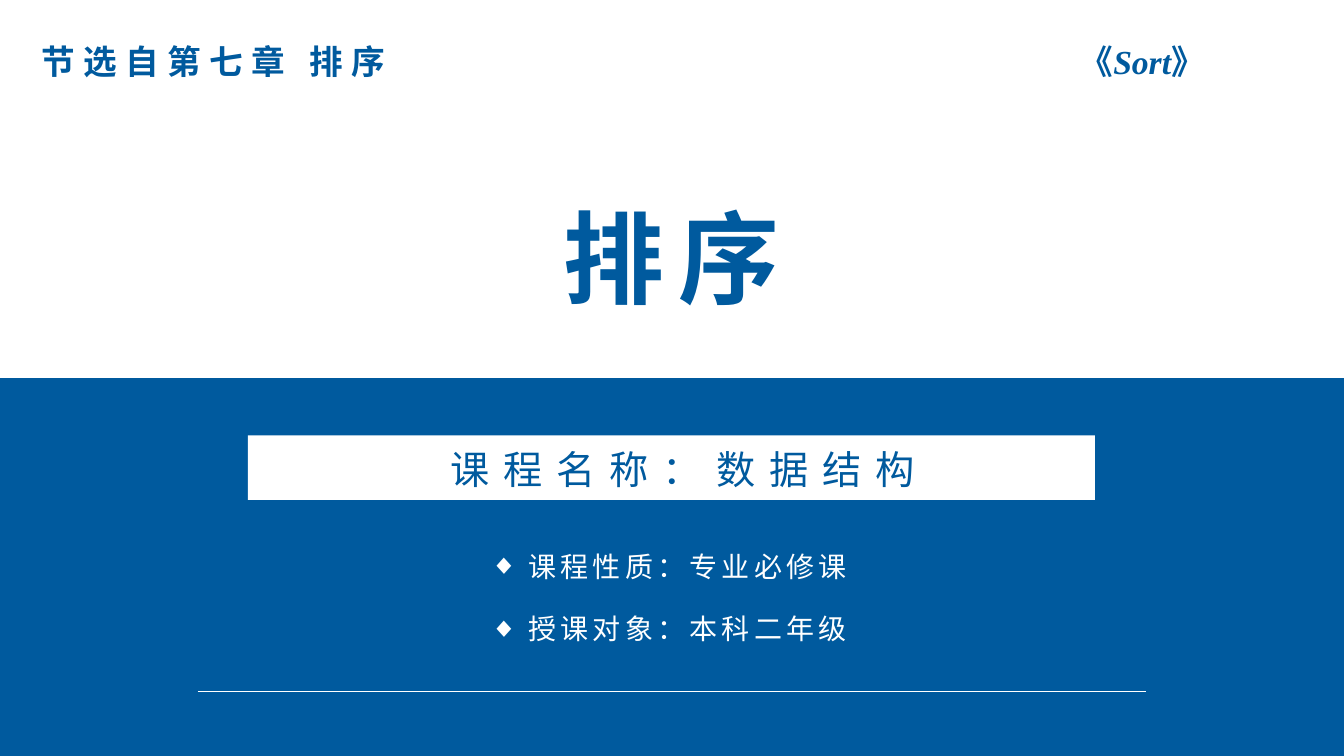
from dataclasses import dataclass
from typing import Optional

from pptx import Presentation
from pptx.dml.color import RGBColor
from pptx.enum.shapes import MSO_CONNECTOR, MSO_SHAPE
from pptx.enum.text import MSO_ANCHOR, MSO_AUTO_SIZE, PP_ALIGN
from pptx.oxml.ns import qn
from pptx.shapes.base import BaseShape
from pptx.slide import Slide
from pptx.text.text import TextFrame, _Paragraph as Paragraph, _Run as Run
from pptx.util import Emu, Pt
from lxml.etree import SubElement

EMU_PER_PX = 9144  # 100 px to the inch
BLUE = RGBColor(0x00, 0x5A, 0x9E)
WHITE = RGBColor(0xFF, 0xFF, 0xFF)
CHINESE_FONT = "Noto Sans CJK SC"
LATIN_FONT = "Times New Roman"


@dataclass(frozen=True)
class Box:
    left: int
    top: int
    width: int
    height: int


@dataclass(frozen=True)
class TextStyle:
    size: int
    color: RGBColor = BLUE
    font: str = CHINESE_FONT
    bold: bool = False
    spacing: int = 0
    align: Optional[PP_ALIGN] = PP_ALIGN.LEFT


@dataclass(frozen=True)
class Label:
    box: Box
    runs: tuple[str, ...]
    style: TextStyle
    italic_run: Optional[int] = None


TITLE_STYLE = TextStyle(72, bold=True, spacing=10, align=PP_ALIGN.JUSTIFY)
LIST_STYLE = TextStyle(20, color=WHITE, spacing=3)
COURSE_FACTS = ("课程性质：专业必修课", "授课对象：本科二年级")
PANELS = ((Box(0, 375, 1333, 375), BLUE), (Box(246, 432, 840, 64), WHITE))
LABELS = (
    Label(Box(328, 437, 698, 57), ("课程名称：数据结构",),
          TextStyle(28, spacing=10, align=PP_ALIGN.CENTER)),
    Label(Box(31, 36, 676, 50), ("节选自第七章 排序",),
          TextStyle(24, font=LATIN_FONT, bold=True, spacing=6)),
    Label(Box(1061, 36, 173, 50), ("《", "Sort", "》"),
          TextStyle(24, font=LATIN_FONT, bold=True, align=PP_ALIGN.JUSTIFY), italic_run=1),
)


def px(length: int) -> Emu:
    return Emu(length * EMU_PER_PX)


def place(shape: BaseShape, box: Box) -> None:
    shape.left, shape.top = px(box.left), px(box.top)
    shape.width, shape.height = px(box.width), px(box.height)


def prepare_frame(text_frame: TextFrame) -> None:
    text_frame.word_wrap = True
    text_frame.auto_size = MSO_AUTO_SIZE.NONE
    text_frame.vertical_anchor = MSO_ANCHOR.TOP


def format_run(run: Run, style: TextStyle) -> None:
    run.font.size = Pt(style.size)
    run.font.bold = style.bold
    run.font.color.rgb = style.color
    run.font.name = style.font
    properties = run._r.get_or_add_rPr()
    SubElement(properties, qn("a:ea")).set("typeface", CHINESE_FONT)
    if style.spacing:
        properties.set("spc", str(style.spacing * 100))


def format_paragraph(paragraph: Paragraph, style: TextStyle) -> None:
    paragraph.alignment = style.align
    for run in paragraph.runs:
        format_run(run, style)


def add_diamond_bullet(paragraph: Paragraph) -> None:
    properties = paragraph._p.get_or_add_pPr()
    properties.set("marL", str(px(38)))
    properties.set("indent", str(px(-38)))
    SubElement(properties, qn("a:buChar")).set("char", "◆")


def add_panel(slide: Slide, box: Box, color: RGBColor, depth: int) -> None:
    shape = slide.shapes.add_shape(MSO_SHAPE.RECTANGLE, 0, 0, 0, 0)
    place(shape, box)
    shape.shadow.inherit = False
    shape.fill.solid()
    shape.fill.fore_color.rgb = color
    shape.line.fill.background()
    # Panels lie behind the placeholders
    slide.shapes._spTree.insert(2 + depth, shape._element)


def add_label(slide: Slide, label: Label) -> None:
    shape = slide.shapes.add_textbox(0, 0, 0, 0)
    place(shape, label.box)
    prepare_frame(shape.text_frame)
    paragraph = shape.text_frame.paragraphs[0]
    for text in label.runs:
        paragraph.add_run().text = text
    format_paragraph(paragraph, label.style)
    if label.italic_run is not None:
        paragraph.runs[label.italic_run].font.italic = True


def fill_title(slide: Slide) -> None:
    title = slide.shapes.title
    place(title, Box(549, 189, 261, 131))
    title.text_frame.text = "排序"
    prepare_frame(title.text_frame)
    format_paragraph(title.text_frame.paragraphs[0], TITLE_STYLE)


def fill_facts(slide: Slide) -> None:
    body = slide.placeholders[1]
    place(body, Box(476, 540, 432, 113))
    body.text_frame.text = "\n".join(COURSE_FACTS)
    prepare_frame(body.text_frame)
    for index, paragraph in enumerate(body.text_frame.paragraphs):
        add_diamond_bullet(paragraph)
        paragraph.space_before = Pt(20.7 if index else 0)
        format_paragraph(paragraph, LIST_STYLE)


def add_rule(slide: Slide) -> None:
    rule = slide.shapes.add_connector(
        MSO_CONNECTOR.STRAIGHT, px(196), px(686), px(1137), px(686))
    rule.line.color.rgb = WHITE
    rule.line.width = Pt(1)
    SubElement(rule._element.spPr, qn("a:effectLst"))


def main() -> None:
    presentation = Presentation()
    presentation.slide_width, presentation.slide_height = px(1333), px(750)
    slide = presentation.slides.add_slide(presentation.slide_layouts[1])

    # Title and course facts
    fill_title(slide)
    fill_facts(slide)

    # Blue lower half, white strip and closing line
    for depth, (box, color) in enumerate(PANELS):
        add_panel(slide, box, color, depth)
    add_rule(slide)

    # Course name and header texts
    for label in LABELS:
        add_label(slide, label)

    presentation.save("out.pptx")


if __name__ == "__main__":
    main()
